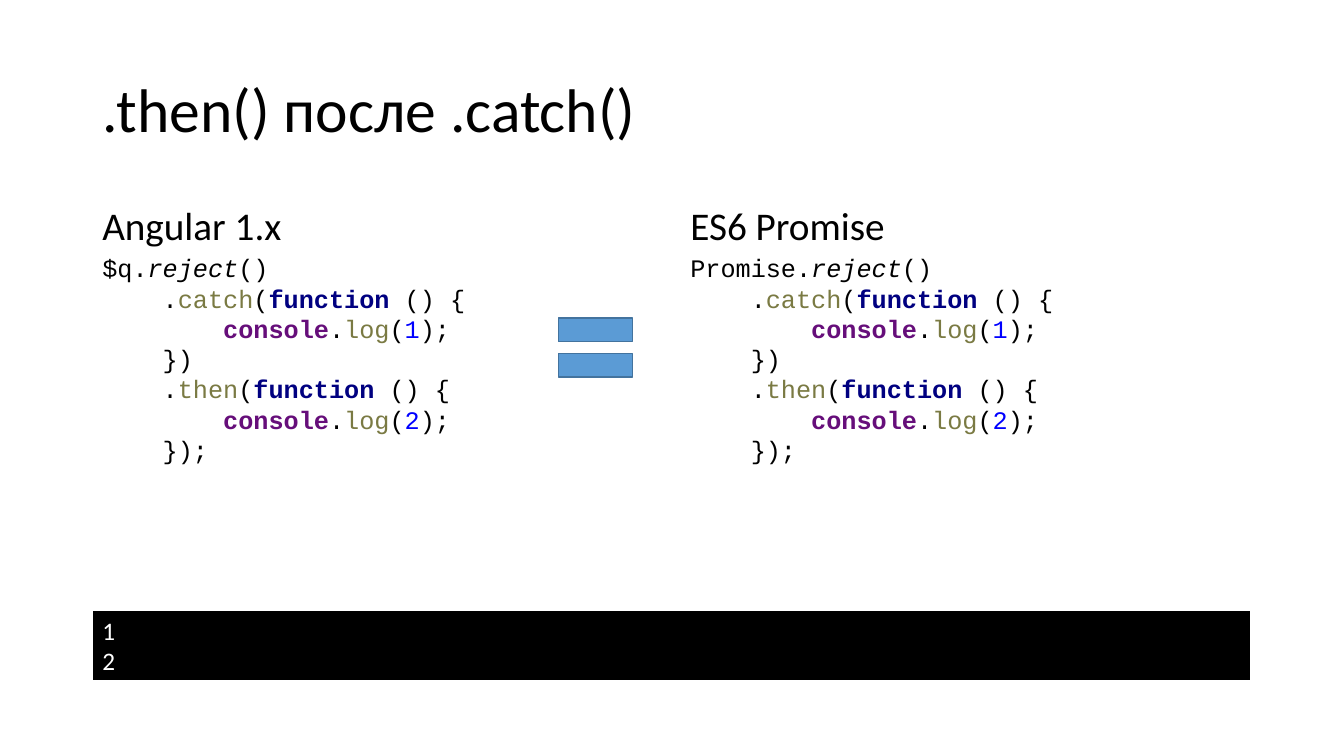
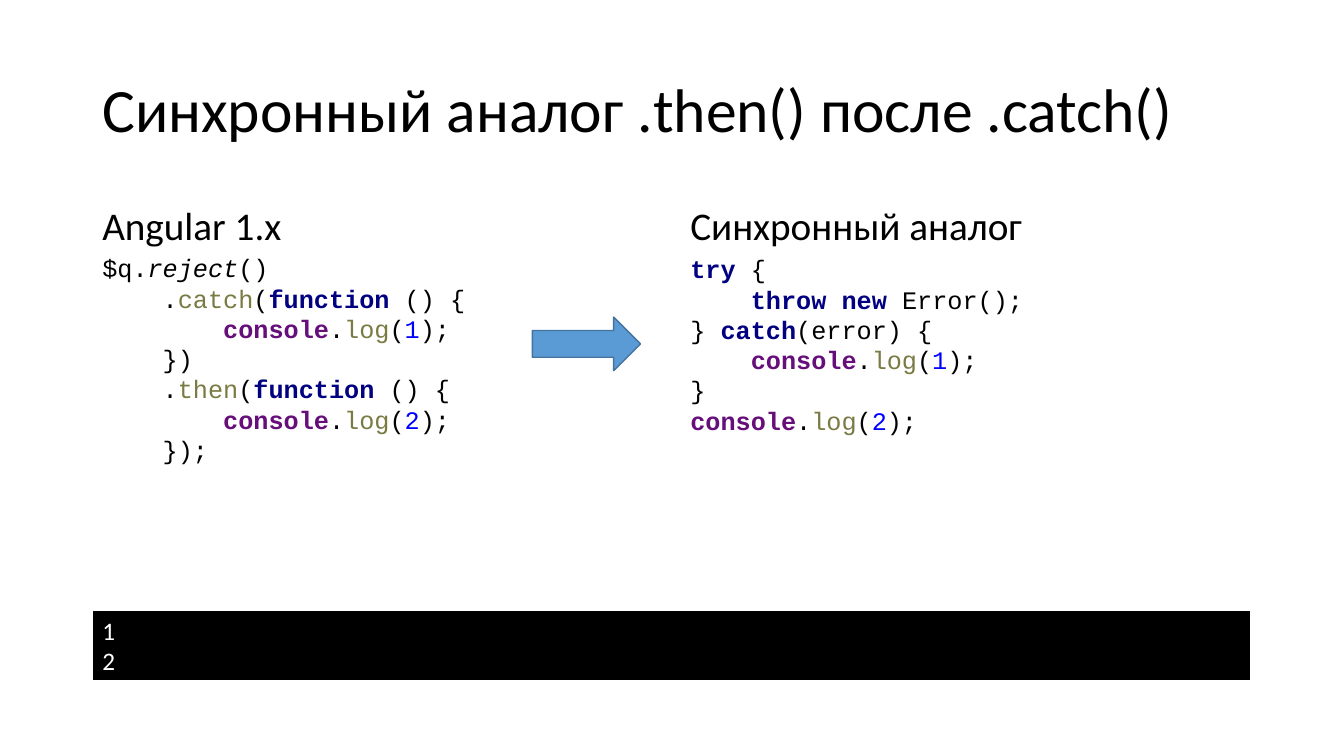
from dataclasses import dataclass

from pptx import Presentation
from pptx.dml.color import RGBColor
from pptx.enum.shapes import MSO_SHAPE
from pptx.enum.text import MSO_ANCHOR, PP_ALIGN
from pptx.util import Emu, Pt

EMU_PER_PX = 9525
RECT = MSO_SHAPE.RECTANGLE
EQUAL = MSO_SHAPE.MATH_EQUAL
RIGHT_ARROW = MSO_SHAPE.RIGHT_ARROW
LEFT = PP_ALIGN.LEFT
TOP, MIDDLE = MSO_ANCHOR.TOP, MSO_ANCHOR.MIDDLE

BLACK, WHITE = "000000", "FFFFFF"
BLUE, BLUE_EDGE = "5B9BD5", "43739E"
BODY_FONT, CODE_FONT = "Calibri", "Courier New"

LEFT_X, RIGHT_X = 88, 648
FULL_W, COLUMN_W = 1104, 544


@dataclass(frozen=True)
class Style:
    color: str = BLACK
    bold: bool = False
    italic: bool = False


PLAIN = Style()
STATIC = Style(italic=True)
METHOD = Style("7A7A43")
KEYWORD = Style("000080", bold=True)
GLOBAL = Style("660E7A", bold=True)
NUMBER = Style("0000FF")

Code = list[tuple[str, Style]]


@dataclass(frozen=True)
class Box:
    x: int
    y: int
    w: int
    h: int


@dataclass(frozen=True)
class Column:
    heading: str
    code: Code
    box: Box


@dataclass(frozen=True)
class Comparison:
    title: str
    columns: tuple[Column, Column]
    sign: MSO_SHAPE
    sign_box: Box


def log_call(number: int) -> Code:
    return [("console", GLOBAL), (".", PLAIN), ("log", METHOD),
            ("(", PLAIN), (str(number), NUMBER), (");", PLAIN)]


def handler(method: str, number: int) -> Code:
    """Code of one chained call whose callback logs a number."""
    return [("\n    .", PLAIN), (method, METHOD), ("(", PLAIN),
            ("function ", KEYWORD), ("() {\n        ", PLAIN),
            *log_call(number), ("\n    })", PLAIN)]


def promise_chain(source: str) -> Code:
    return [(f"{source}.", PLAIN), ("reject", STATIC), ("()", PLAIN),
            *handler("catch", 1), *handler("then", 2), (";", PLAIN)]


SYNC_CODE: Code = [
    ("try ", KEYWORD), ("{\n    ", PLAIN),
    ("throw new ", KEYWORD), ("Error();\n} ", PLAIN),
    ("catch", KEYWORD), ("(error) {\n    ", PLAIN),
    *log_call(1), ("\n}\n", PLAIN), *log_call(2),
]

ANGULAR = Column("Angular 1.x", promise_chain("$q"), Box(LEFT_X, 235, 367, 213))
ES6 = Column("ES6 Promise", promise_chain("Promise"), Box(RIGHT_X, 235, 367, 213))
SYNC = Column("Синхронный аналог", SYNC_CODE, Box(RIGHT_X, 236, 338, 184))

COMPARISONS = (
    Comparison(".then() после .catch()", (ANGULAR, ES6),
               EQUAL, Box(519, 283, 96, 96)),
    Comparison("Синхронный аналог .then() после .catch()", (ANGULAR, SYNC),
               RIGHT_ARROW, Box(507, 302, 103, 51)),
)


def px(n: int) -> Emu:
    return Emu(n * EMU_PER_PX)


def rgb(color: str) -> RGBColor:
    return RGBColor.from_string(color)


def place(box: Box) -> tuple[Emu, Emu, Emu, Emu]:
    return px(box.x), px(box.y), px(box.w), px(box.h)


def add_heading(s, text: str, box: Box, size: int, anchor: MSO_ANCHOR) -> None:
    tf = s.shapes.add_textbox(*place(box)).text_frame
    tf.word_wrap = True
    tf.vertical_anchor = anchor
    p = tf.paragraphs[0]
    p.text = text
    p.line_spacing = 0.9
    p.font.name, p.font.size = BODY_FONT, Pt(size)
    p.font.color.rgb = rgb(BLACK)


def add_filled(s, kind: MSO_SHAPE, box: Box, fill: str,
               line: str | None = None, width: float = 1):
    sp = s.shapes.add_shape(kind, *place(box))
    sp.shadow.inherit = False
    sp.fill.solid()
    sp.fill.fore_color.rgb = rgb(fill)
    if line:
        sp.line.color.rgb = rgb(line)
        sp.line.width = Pt(width)
    else:
        sp.line.fill.background()
    return sp


def add_code(s, code: Code, box: Box) -> None:
    tf = add_filled(s, RECT, box, WHITE).text_frame
    tf.word_wrap = False
    tf.vertical_anchor = MIDDLE
    p = tf.paragraphs[0]
    p.alignment = LEFT
    p.font.name, p.font.size = CODE_FONT, Pt(18)
    for text, style in code:
        for i, part in enumerate(text.split("\n")):
            if i:
                p.add_line_break()
            if part:
                r = p.add_run()
                r.text = part
                r.font.bold, r.font.italic = style.bold, style.italic
                r.font.color.rgb = rgb(style.color)


def add_console(s, lines: tuple[str, ...]) -> None:
    """Black output panel with one paragraph per line."""
    sp = add_filled(s, RECT, Box(LEFT_X, 581, FULL_W, 68), BLACK, WHITE, 1.5)
    tf = sp.text_frame
    tf.word_wrap = True
    tf.vertical_anchor = TOP
    tf.text = "\n".join(lines)
    for p in tf.paragraphs:
        p.alignment = LEFT
        p.font.name, p.font.size = BODY_FONT, Pt(18)
        p.font.color.rgb = rgb(WHITE)


def add_comparison(prs, item: Comparison) -> None:
    s = prs.slides.add_slide(prs.slide_layouts[6])
    add_heading(s, item.title, Box(LEFT_X, 38, FULL_W, 139), 44, MIDDLE)
    for column in item.columns:
        add_heading(s, column.heading, Box(column.box.x, 192, COLUMN_W, 457), 28, TOP)
        add_code(s, column.code, column.box)
    add_console(s, ("1", "2"))
    add_filled(s, item.sign, item.sign_box, BLUE, BLUE_EDGE)


def main() -> None:
    prs = Presentation()
    prs.slide_width, prs.slide_height = px(1280), px(720)
    for item in COMPARISONS:
        add_comparison(prs, item)
    prs.save("out.pptx")


if __name__ == "__main__":
    main()
